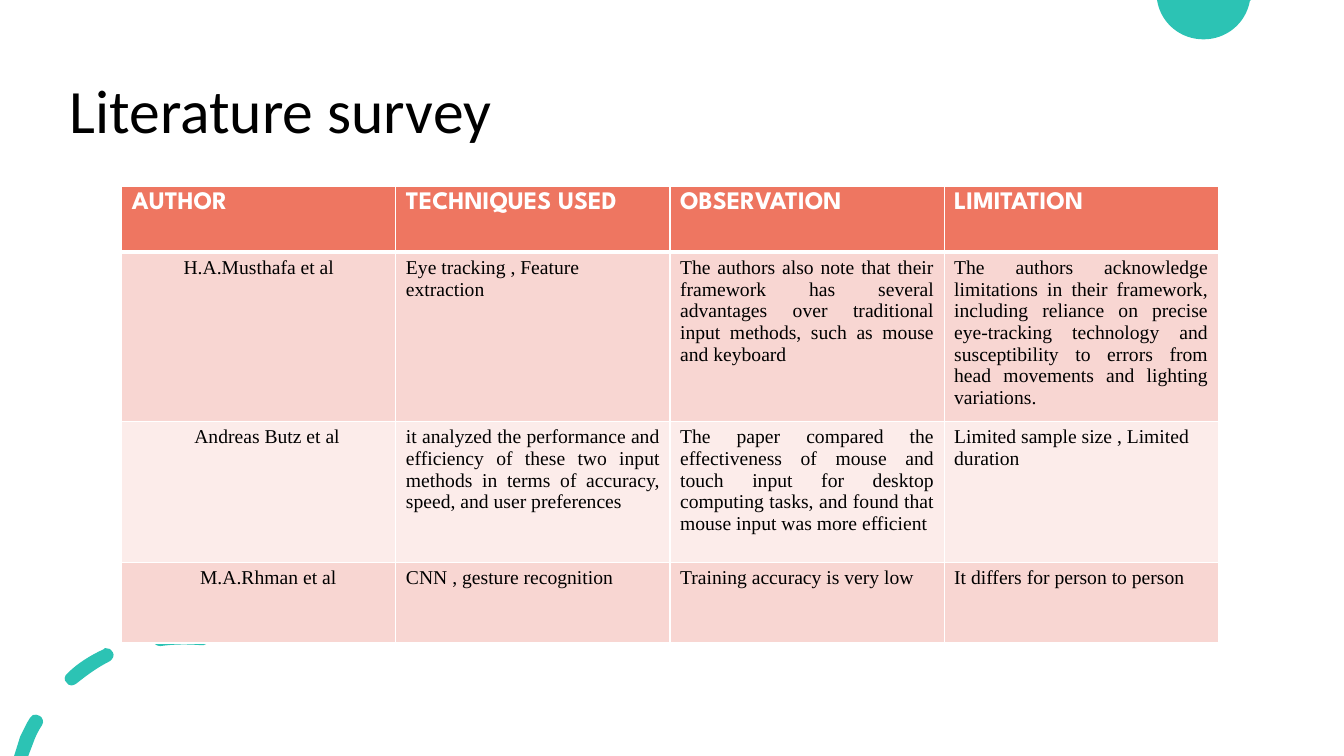
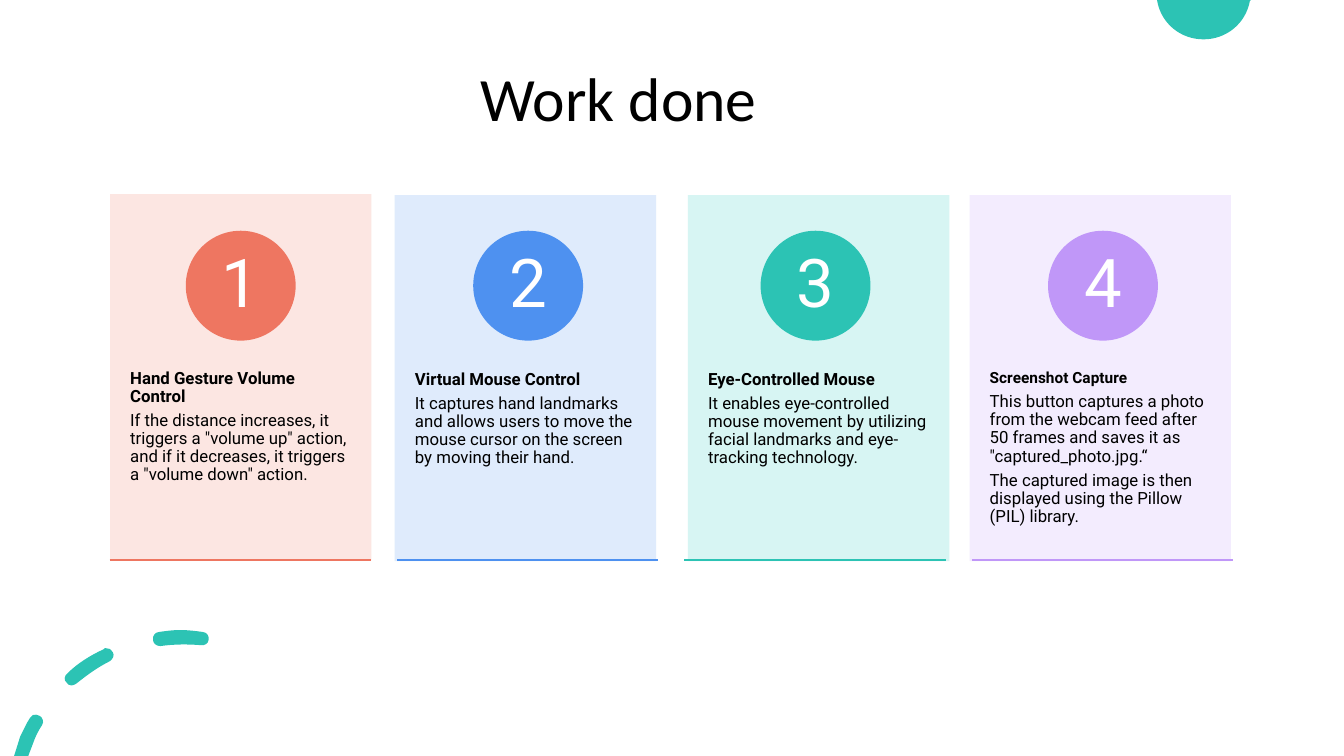
from dataclasses import dataclass
from typing import Any, Optional

import lxml.etree
import pptx
import pptx.dml.color
import pptx.enum.shapes
import pptx.enum.text
import pptx.oxml.ns
import pptx.util

Pt = pptx.util.Pt
qn = pptx.oxml.ns.qn
ALIGN = pptx.enum.text.PP_ALIGN
ANCHOR = pptx.enum.text.MSO_ANCHOR
SHAPE = pptx.enum.shapes.MSO_SHAPE

COLORS = {
    "black": "000000", "white": "FFFFFF",
    "coral": "EE7661", "blue": "4E91F0", "teal": "2CC3B4", "violet": "C097F8",
    "coral_tint": "FCE4DF", "blue_tint": "DCE9FC",
    "teal_tint": "D3F5F2", "violet_tint": "F2EAFE",
    "band_dark": "F8D6D2", "band_light": "FCECEA",
}


@dataclass
class Contour:
    """Closed outline; a step of 2 numbers is a line, one of 6 a Bézier curve."""
    start: tuple[float, float]
    steps: list[tuple[float, ...]]


@dataclass
class Entry:
    text: str
    align: ALIGN = ALIGN.LEFT
    indent: float = 0


@dataclass
class Card:
    left: float
    top: float
    color: str
    heading: str
    details: list[str]
    heading_size: float = 12


HALF_DISC = [
    Contour((826.6, 0), [
        (893.5, 0), (892.8, 0.7),
        (889.9, 16.6, 876.2, 28.1, 859.7, 28.1),
        (843.1, 28.1, 829.4, 16.6, 826.6, 0.7)]),
]
DASHED_ARC = [
    Contour((25.9, 510.5), [
        (24.5, 509.8, 22.3, 511.2, 21.6, 512.6),
        (18.7, 517, 16.6, 522, 14.4, 526.3),
        (10.1, 540), (20.2, 540), (23.8, 530.6),
        (25.2, 526.3, 27.4, 522, 30.2, 517.7),
        (31.7, 515.5, 30.2, 511.9, 28.1, 511.2),
        (27.4, 510.5, 26.6, 510.5, 25.9, 510.5)]),
    Contour((75.6, 463), [
        (74.9, 463, 74.2, 463, 74.2, 463.7),
        (64.8, 468, 55.4, 473.8, 48.2, 481),
        (46.1, 482.4, 45.4, 486, 47.5, 487.4),
        (48.2, 488.9, 49.7, 489.6, 51.1, 489.6),
        (52.6, 489.6, 53.3, 488.9, 54.7, 488.2),
        (61.9, 482.4, 69.8, 476.6, 78.5, 472.3),
        (80.6, 470.9, 82.1, 468, 80.6, 465.8),
        (79.9, 463.7, 77.8, 463, 75.6, 463)]),
    Contour((128.9, 450), [
        (123.8, 450, 118.8, 450.7, 113.8, 451.4),
        (110.9, 451.4, 108.7, 454.3, 109.4, 457.2),
        (109.4, 459.4, 111.6, 461.5, 114.5, 461.5),
        (124.6, 460.1, 133.9, 460.1, 143.3, 460.8),
        (146.2, 461.5, 149, 459.4, 149, 457.2),
        (149.8, 454.3, 147.6, 451.4, 144.7, 451.4),
        (139.7, 450.7, 133.9, 450, 128.9, 450)]),
]

SURVEY_HEADINGS = ["AUTHOR", "TECHNIQUES USED", "OBSERVATION", "LIMITATION"]
SURVEY = [
    [Entry("H.A.Musthafa et al", ALIGN.CENTER),
     Entry("Eye tracking , Feature extraction"),
     Entry("The authors also note that their framework has several advantages over "
           "traditional input methods, such as mouse and keyboard", ALIGN.JUSTIFY),
     Entry("The authors acknowledge limitations in their framework, including reliance "
           "on precise eye-tracking technology and susceptibility to errors from head "
           "movements and lighting variations.", ALIGN.JUSTIFY)],
    [Entry("Andreas Butz et al", indent=44.6),
     Entry("it analyzed the performance and efficiency of these two input methods in "
           "terms of accuracy, speed, and user preferences", ALIGN.JUSTIFY),
     Entry("The paper compared the effectiveness of mouse and touch input for desktop "
           "computing tasks, and found that mouse input was more efficient", ALIGN.JUSTIFY),
     Entry("Limited sample size , Limited duration")],
    [Entry("M.A.Rhman et al", indent=48.7),
     Entry("CNN , gesture recognition"),
     Entry("Training accuracy is very low"),
     Entry("It differs for person to person")],
]

CARDS = [
    Card(78.6, 138.7, "coral", "Hand Gesture Volume Control",
         ['If the distance increases, it triggers a "volume up" action, and if it '
          'decreases, it triggers a "volume down" action.']),
    Card(282, 139.4, "blue", "Virtual Mouse Control",
         ["It captures hand landmarks and allows users to move the mouse cursor on the "
          "screen by moving their hand."]),
    Card(491.4, 139.4, "teal", "Eye-Controlled Mouse",
         ["It enables eye-controlled mouse movement by utilizing facial landmarks and "
          "eye-tracking technology."]),
    Card(692.6, 139.4, "violet", "Screenshot Capture",
         ["This button captures a photo from the webcam feed after 50 frames and saves "
          'it as "captured_photo.jpg.“',
          "The captured image is then displayed using the Pillow (PIL) library."], 11),
]
CARD_WIDTH, CARD_HEIGHT = 186.7, 261.4
CARD_PITCH = 205.3


def rgb(name: str) -> pptx.dml.color.RGBColor:
    return pptx.dml.color.RGBColor.from_string(COLORS[name])


def set_font(font: Any, family: str, size: float, color: str, bold: bool = False) -> None:
    font.name, font.size, font.bold = family, Pt(size), bold
    font.color.rgb = rgb(color)


def fill_plain(shape: Any, color: str, opacity: Optional[int] = None) -> None:
    shape.shadow.inherit = False
    shape.fill.solid()
    shape.fill.fore_color.rgb = rgb(color)
    shape.line.fill.background()
    if opacity is not None:
        srgb = shape.element.spPr.find(qn("a:solidFill")).find(qn("a:srgbClr"))
        lxml.etree.SubElement(srgb, qn("a:alpha")).set("val", str(opacity * 1000))


def set_insets(frame: Any, across: float, down: float) -> None:
    frame.margin_left = frame.margin_right = Pt(across)
    frame.margin_top = frame.margin_bottom = Pt(down)


# Shared decoration
def draw_outline(slide: Any, contours: list[Contour]) -> Any:
    builder = slide.shapes.build_freeform(*map(Pt, contours[0].start), scale=1.0)
    for index, contour in enumerate(contours):
        if index:
            builder.move_to(*map(Pt, contour.start))
        numbers = [Pt(number) for step in contour.steps for number in step]
        builder.add_line_segments(list(zip(numbers[::2], numbers[1::2])), close=True)
    outline = builder.convert_to_shape()

    # Join each run of three points into one curve
    lines = iter(list(outline.element.iter(qn("a:lnTo"))))
    for step in (step for contour in contours for step in contour.steps):
        first = next(lines)
        if len(step) == 6:
            curve = lxml.etree.Element(qn("a:cubicBezTo"))
            first.addprevious(curve)
            for line in (first, next(lines), next(lines)):
                curve.append(line[0])
                line.getparent().remove(line)
    fill_plain(outline, "teal")
    return outline


def decorate_layout(layout: Any, slide: Any) -> None:
    """Draw the ornaments once and move them to the layout."""
    for number, contours in enumerate((HALF_DISC, DASHED_ARC)):
        ornament = draw_outline(slide, contours).element
        ornament.xpath(".//p:cNvPr")[0].set("id", str(100 + number))
        layout.shapes.element.append(ornament)


def set_title(slide: Any, text: str, left: float, top: float, width: float) -> None:
    title = slide.shapes.title
    title.left, title.top, title.width, title.height = Pt(left), Pt(top), Pt(width), Pt(104.4)
    frame = title.text_frame
    frame.text = text
    frame.word_wrap = True
    frame.vertical_anchor = ANCHOR.MIDDLE
    line = frame.paragraphs[0]
    line.alignment = ALIGN.LEFT
    line.line_spacing = 0.9
    set_font(line.font, "Calibri", 44, "black")


# Literature table
def set_borders(cell: Any, bottom: float) -> None:
    properties = cell._tc.get_or_add_tcPr()
    for tag, width in (("a:lnL", 1), ("a:lnR", 1), ("a:lnT", 1), ("a:lnB", bottom)):
        border = lxml.etree.SubElement(properties, qn(tag), w=str(Pt(width)))
        solid = lxml.etree.SubElement(border, qn("a:solidFill"))
        lxml.etree.SubElement(solid, qn("a:srgbClr"), val=COLORS["white"])


def fill_cell(cell: Any, entry: Entry, color: str, bottom: float = 1) -> Any:
    set_borders(cell, bottom)
    cell.fill.solid()
    cell.fill.fore_color.rgb = rgb(color)
    cell.text = entry.text
    paragraph = cell.text_frame.paragraphs[0]
    paragraph.alignment = entry.align
    if entry.indent:
        paragraph._p.get_or_add_pPr().set("marL", str(Pt(entry.indent)))
    return paragraph.font


def draw_survey(slide: Any) -> None:
    heights = [46.5, 121, 100.8, 57.6]
    survey = slide.shapes.add_table(len(heights), len(SURVEY_HEADINGS), Pt(87), Pt(133.4),
                                    Pt(783.2), Pt(sum(heights))).table
    for row, height in zip(survey.rows, heights):
        row.height = Pt(height)
    for column, heading in enumerate(SURVEY_HEADINGS):
        font = fill_cell(survey.cell(0, column), Entry(heading), "coral", bottom=3)
        set_font(font, "League Spartan", 18, "white", bold=True)
    for row_number, entries in enumerate(SURVEY, start=1):
        band = "band_dark" if row_number % 2 else "band_light"
        for column, entry in enumerate(entries):
            font = fill_cell(survey.cell(row_number, column), entry, band)
            set_font(font, "Times New Roman", 14, "black")


# Numbered cards
def draw_card(slide: Any, card: Card, number: int) -> None:
    shapes = slide.shapes
    shift = CARD_PITCH * (number - 1)

    panel = shapes.add_shape(SHAPE.RECTANGLE, Pt(card.left), Pt(card.top),
                             Pt(CARD_WIDTH), Pt(CARD_HEIGHT))
    fill_plain(panel, card.color + "_tint", opacity=90)

    description = shapes.add_textbox(Pt(card.left), Pt(card.top + 99.4),
                                     Pt(CARD_WIDTH), Pt(157)).text_frame
    description.word_wrap = True
    set_insets(description, 14.4, 25.9)
    description.text = "\n".join([card.heading, *card.details])
    for index, paragraph in enumerate(description.paragraphs):
        paragraph.line_spacing = 0.9
        paragraph.space_after = Pt(4.2)
        size = 12 if index else card.heading_size
        set_font(paragraph.font, "Roboto", size, "black", bold=index == 0)

    badge = shapes.add_shape(SHAPE.OVAL, Pt(132.7 + shift), Pt(164.8), Pt(78.5), Pt(78.5))
    fill_plain(badge, card.color)

    digit = shapes.add_textbox(Pt(144.2 + shift), Pt(176.3), Pt(55.5), Pt(55.5)).text_frame
    digit.text = str(number)
    digit.word_wrap = True
    digit.vertical_anchor = ANCHOR.MIDDLE
    set_insets(digit, 5.8, 0.7)
    digit.paragraphs[0].alignment = ALIGN.CENTER
    digit.paragraphs[0].line_spacing = 0.9
    set_font(digit.paragraphs[0].font, "Roboto", 48, "white")

    rule = shapes.add_connector(pptx.enum.shapes.MSO_CONNECTOR.STRAIGHT, Pt(78.3 + shift),
                                Pt(400), Pt(78.3 + shift + CARD_WIDTH), Pt(400))
    rule.line.color.rgb = rgb(card.color)
    rule.line.width = Pt(1)
    lxml.etree.SubElement(rule.element.spPr, qn("a:effectLst"))


def main() -> None:
    deck = pptx.Presentation()
    deck.slide_width, deck.slide_height = Pt(960), Pt(540)
    title_only = deck.slide_layouts.get_by_name("Title Only")

    # Literature survey
    survey_slide = deck.slides.add_slide(title_only)
    decorate_layout(title_only, survey_slide)
    set_title(survey_slide, "Literature survey", 42.5, 28.8, 828)
    draw_survey(survey_slide)

    # Work done
    work_slide = deck.slides.add_slide(title_only)
    set_title(work_slide, "Work done", 336.2, 20.2, 236.2)
    for number, card in enumerate(CARDS, start=1):
        draw_card(work_slide, card, number)

    deck.save("out.pptx")


if __name__ == "__main__":
    main()
